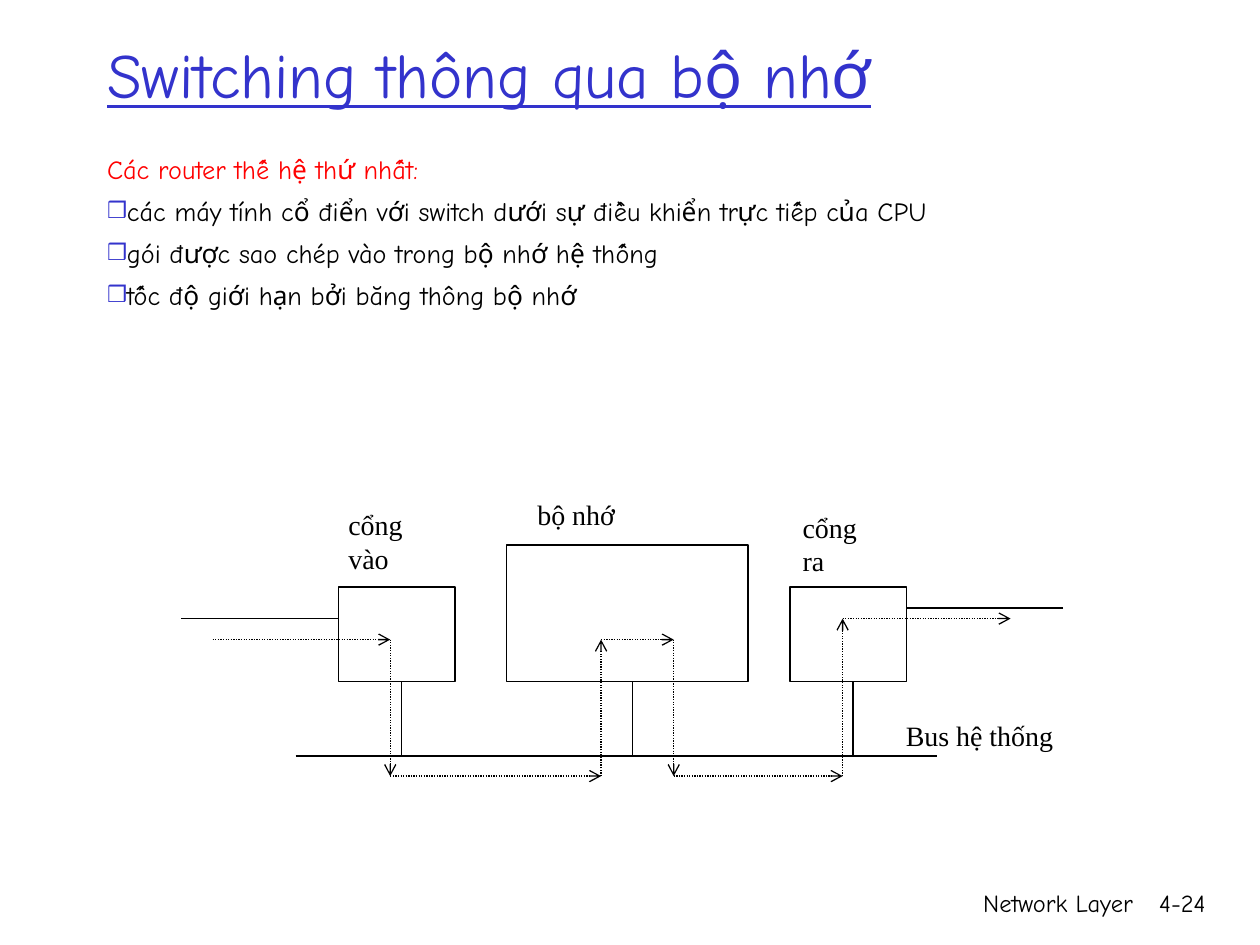
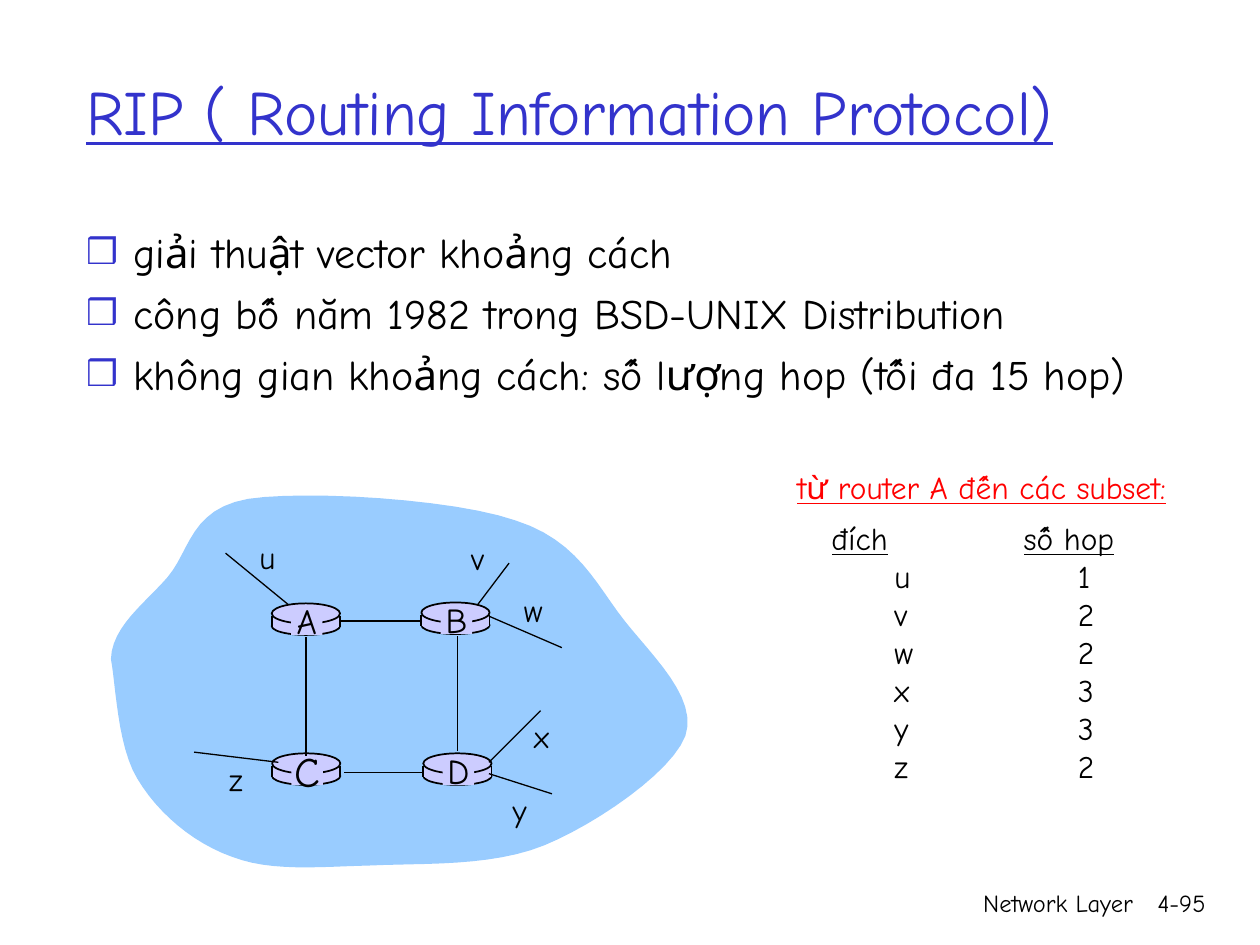
from typing import NamedTuple

from lxml import etree
from pptx import Presentation
from pptx.dml.color import RGBColor
from pptx.enum.dml import MSO_LINE
from pptx.enum.shapes import MSO_CONNECTOR, MSO_SHAPE
from pptx.enum.text import MSO_ANCHOR, MSO_AUTO_SIZE, PP_ALIGN
from pptx.oxml.ns import qn
from pptx.util import Pt

STRAIGHT = MSO_CONNECTOR.STRAIGHT
RECTANGLE, ELLIPSE = MSO_SHAPE.RECTANGLE, MSO_SHAPE.OVAL
DOTTED = MSO_LINE.ROUND_DOT
LEFT, CENTER, RIGHT = PP_ALIGN.LEFT, PP_ALIGN.CENTER, PP_ALIGN.RIGHT
MIDDLE, TOP = MSO_ANCHOR.MIDDLE, MSO_ANCHOR.TOP
FIXED_SIZE = MSO_AUTO_SIZE.NONE

BLACK, BLUE, RED = "000000", "3333CC", "FF0000"
SKY, LILAC = "99CCFF", "CCCCFF"
COMIC, SERIF = "Comic Neue", "Times New Roman"


class Frame(NamedTuple):
    """A rectangle in points."""
    left: float
    top: float
    width: float
    height: float


class Style(NamedTuple):
    """The look of a run of text."""
    size: float
    color: str = BLACK
    font: str = COMIC
    underline: bool = False


class Item(NamedTuple):
    """One paragraph of a body list."""
    text: str
    color: str = BLACK
    bullet: bool = True


class Label(NamedTuple):
    """A short text and its top left corner."""
    text: str
    left: float
    top: float


class Segment(NamedTuple):
    """A straight line between two points."""
    x1: float
    y1: float
    x2: float
    y2: float


class Router(NamedTuple):
    """A named router and the top left corner of its disc."""
    name: str
    left: float
    top: float
    size: float = 20


TITLE = Style(36, BLUE, underline=True)
FOOTER = Style(14)
BUS_LABEL = Style(16, font=SERIF)
NET_LABEL = Style(18)
COLUMN_HEAD = Style(18, underline=True)
CAPTION = Style(18, RED, underline=True)

INPUT_PORT = Frame(193.5, 335.5, 66.5, 54)
OUTPUT_PORT = INPUT_PORT._replace(left=451.5)
MEMORY = Frame(289.5, 311.5, 138, 78)
BUS_Y = 432
BUS_LINES = [
    Segment(169, BUS_Y, 535.5, BUS_Y),
    *[Segment(x, 389.5, x, BUS_Y) for x in (229.5, 361.5, 487.5)],
    Segment(193.5, 353.5, 103.5, 353.5),
    Segment(607.5, 347.5, 517.5, 347.5),
]
PACKET_ROUTE = [
    (121.5, 365.5), (223, 365.5), (223, 443.5), (343.5, 443.5), (343.5, 365.5),
    (385, 365.5), (385, 443.5), (481.5, 443.5), (481.5, 353.5), (577.5, 353.5),
]
BUS_LABELS = [
    Label("cổng\nvào", 192, 286.5), Label("cổng\nra", 451.5, 288),
    Label("bộ nhớ", 300, 281), Label("Bus hệ thống", 510.5, 407),
]

CLOUD_START = (63.4, 376.6)
CLOUD_CURVES = [
    ((64.1, 357.8), (82.8, 344.9), (95.8, 329.8)),
    ((108.7, 314.6), (108.7, 290.9), (141.8, 285.1)),
    ((175, 280.1), (259.2, 285.1), (294.5, 297.4)),
    ((330.5, 308.9), (340.6, 334.1), (357.1, 355)),
    ((373, 375.1), (398.9, 398.9), (391.7, 420.5)),
    ((383.8, 441.4), (340.6, 470.9), (311, 483.1)),
    ((280.8, 495.4), (241.2, 493.2), (211.7, 494.6)),
    ((181.4, 495.4), (154.8, 498.2), (132.5, 489.6)),
    ((110.2, 481.7), (90, 464.4), (78.5, 445)),
    ((67, 426.2), (66.2, 391), CLOUD_START),
]
CURVE_STEPS = 12
ROUTERS = [
    Router("A", 155.3, 344.8), Router("B", 240.8, 344.3),
    Router("C", 155.5, 430.5, 24), Router("D", 241.9, 430.5),
]
ROUTER_LINKS = [
    Segment(261.4, 363.6, 261.4, 429.1), Segment(175, 364.3, 175, 432),
    Segment(242, 441.4, 196.5, 441.4), Segment(241.2, 355, 195.1, 355),
]
SUBNET_LINES = [
    Segment(279.4, 352.1, 321.1, 370.1), Segment(272.9, 345.6, 290.9, 321.8),
    Segment(279.4, 435.6, 308.9, 406.1), Segment(279.4, 442.1, 315.4, 453.6),
    Segment(164.9, 345.6, 128.9, 316.1), Segment(159.1, 435.6, 110.9, 429.8),
]
SUBNET_LABELS = [
    Label("u", 141.1, 303.8), Label("v", 262.1, 304.6), Label("w", 292.3, 334.1),
    Label("x", 298.1, 406.1), Label("y", 285.8, 448.6), Label("z", 123.8, 430.6),
]
HOPS = [("đích", "số hop"), ("u", "1"), ("v", "2"), ("w", "2"),
        ("x", "3"), ("y", "3"), ("z", "2")]
HOP_COLUMNS = (110, 70)
HOP_INDENTS = (36, 31)
HOP_ROW = 21.7


def rgb(color: str) -> RGBColor:
    """Turn a hex string into a colour."""
    return RGBColor.from_string(color)


def place(shape, frame: Frame) -> None:
    """Move and size a shape."""
    shape.left, shape.top, shape.width, shape.height = map(Pt, frame)


def style_para(para, style: Style, align=LEFT) -> None:
    """Align a paragraph and format its runs."""
    para.alignment = align
    for span in para.runs:
        span.font.size = Pt(style.size)
        span.font.name = style.font
        span.font.underline = style.underline
        span.font.color.rgb = rgb(style.color)


def add_text(page, text: str, frame: Frame, style: Style, align=LEFT) -> None:
    """Add a wrapping text box."""
    box = page.shapes.add_textbox(*map(Pt, frame))
    box.text_frame.word_wrap = True
    box.text_frame.text = text
    for para in box.text_frame.paragraphs:
        style_para(para, style, align)


def add_labels(page, labels: list[Label], width: float, style: Style) -> None:
    """Add small labels of one width and style."""
    for label in labels:
        add_text(page, label.text, Frame(label.left, label.top, width, 29), style)


def add_block(page, kind, frame: Frame, fill: str = "", weight: float = 0):
    """Add a preset shape with an optional fill and outline."""
    block = page.shapes.add_shape(kind, *map(Pt, frame))
    block.shadow.inherit = False
    if fill:
        block.fill.solid()
        block.fill.fore_color.rgb = rgb(fill)
    else:
        block.fill.background()
    if weight:
        block.line.color.rgb = rgb(BLACK)
        block.line.width = Pt(weight)
    else:
        block.line.fill.background()
    return block


def add_line(page, segment: Segment, weight: float = 0.75, arrow: bool = False) -> None:
    """Add a plain line, or a dotted line with an arrowhead."""
    line = page.shapes.add_connector(STRAIGHT, *map(Pt, segment))
    line.line.color.rgb = rgb(BLACK)
    line.line.width = Pt(weight)
    if arrow:
        line.line.dash_style = DOTTED
        etree.SubElement(line.get_or_add_ln(), qn("a:tailEnd"), type="arrow")
    etree.SubElement(line._element.spPr, qn("a:effectLst"))


def set_bullet(para, bullet: bool, indent: float) -> None:
    """Give a paragraph a hanging indent and a box bullet, or no bullet."""
    props = para._p.get_or_add_pPr()
    props.set("marL", str(Pt(indent)))
    props.set("indent", str(-Pt(indent)))
    if not bullet:
        etree.SubElement(props, qn("a:buNone"))
        return
    color = etree.SubElement(props, qn("a:buClr"))
    etree.SubElement(color, qn("a:srgbClr"), val=BLUE)
    etree.SubElement(props, qn("a:buSzPct"), val="85000")
    etree.SubElement(props, qn("a:buFont"), typeface="Arial")
    etree.SubElement(props, qn("a:buChar"), char="❒")


def fill_body(body, items: list[Item], frame: Frame, size: float, indent: float) -> None:
    """Fill the body placeholder with a list."""
    place(body, frame)
    text_frame = body.text_frame
    text_frame.auto_size = FIXED_SIZE
    text_frame.vertical_anchor = TOP
    text_frame.text = "\n".join(item.text for item in items)
    for index, (para, item) in enumerate(zip(text_frame.paragraphs, items)):
        set_bullet(para, item.bullet, indent)
        para.space_before = Pt(6 if index else 0)
        style_para(para, Style(size, item.color))


def add_page(deck, title: str, frame: Frame, number: str):
    """Add a slide with its title and footer."""
    page = deck.slides.add_slide(deck.slide_layouts[1])
    heading = page.shapes.title
    place(heading, frame)
    heading.text_frame.auto_size = FIXED_SIZE
    heading.text_frame.vertical_anchor = MIDDLE
    heading.text_frame.text = title
    style_para(heading.text_frame.paragraphs[0], TITLE)
    add_text(page, "Network Layer", Frame(426.5, 504, 228, 36), FOOTER, RIGHT)
    add_text(page, number, Frame(643, 504, 53, 36), FOOTER, RIGHT)
    return page


def add_cloud(page) -> None:
    """Draw the network cloud from its cubic curves."""
    points, start = [], CLOUD_START
    for curve in CLOUD_CURVES:
        for step in range(1, CURVE_STEPS + 1):
            t = step / CURVE_STEPS
            weights = ((1 - t) ** 3, 3 * t * (1 - t) ** 2, 3 * t * t * (1 - t), t ** 3)
            knots = (start, *curve)
            points.append(tuple(Pt(sum(w * knot[axis] for w, knot in zip(weights, knots)))
                                for axis in (0, 1)))
        start = curve[-1]
    builder = page.shapes.build_freeform(*map(Pt, CLOUD_START), scale=1.0)
    builder.add_line_segments(points, close=True)
    cloud = builder.convert_to_shape()
    cloud.shadow.inherit = False
    cloud.fill.solid()
    cloud.fill.fore_color.rgb = rgb(SKY)
    cloud.line.fill.background()


def add_router(page, router: Router) -> None:
    """Draw a router as a flat disc with its letter."""
    left, top, width = router.left, router.top, 39
    add_block(page, ELLIPSE, Frame(left, top + 8, width, 10), LILAC, 1)
    add_block(page, RECTANGLE, Frame(left, top + 7, width, 6.5), LILAC)
    for x in (left, left + width):
        add_line(page, Segment(x, top + 7, x, top + 13.5), 1)
    add_block(page, ELLIPSE, Frame(left, top, width, 11.5), LILAC, 1)
    patch = add_block(page, RECTANGLE, Frame(left + 11, top + 1.5, 18, 16.5), LILAC)
    text_frame = patch.text_frame
    text_frame.margin_left = text_frame.margin_right = 0
    text_frame.margin_top = text_frame.margin_bottom = 0
    text_frame.word_wrap = False
    text_frame.vertical_anchor = MIDDLE
    text_frame.text = router.name
    style_para(text_frame.paragraphs[0], Style(router.size), CENTER)


def add_hop_table(page) -> None:
    """Add the table of hop counts."""
    frame = Frame(475, 298.5, sum(HOP_COLUMNS), HOP_ROW * len(HOPS))
    table = page.shapes.add_table(len(HOPS), len(HOP_COLUMNS), *map(Pt, frame)).table
    table.first_row = table.horz_banding = False
    for column, width in zip(table.columns, HOP_COLUMNS):
        column.width = Pt(width)
    for row, values in enumerate(HOPS):
        for column, value in enumerate(values):
            cell = table.cell(row, column)
            cell.fill.background()
            cell.margin_left = Pt(HOP_INDENTS[column] if row else 0)
            cell.margin_right = cell.margin_top = cell.margin_bottom = 0
            cell.text_frame.text = value
            style_para(cell.text_frame.paragraphs[0], NET_LABEL if row else COLUMN_HEAD)


def build_memory_page(deck) -> None:
    """Build the slide on switching through memory."""
    page = add_page(deck, "Switching thông qua bộ nhớ", Frame(54, 18, 612, 48), "4-24")
    fill_body(page.placeholders[1], [
        Item("Các router thế hệ thứ nhất:", RED, False),
        Item("các máy tính cổ điển với switch dưới sự điều khiển trực tiếp của CPU"),
        Item("gói được sao chép vào trong bộ nhớ hệ thống"),
        Item("tốc độ giới hạn bởi băng thông bộ nhớ"),
    ], Frame(54, 84, 618, 98), 15, 9.5)
    for frame in (INPUT_PORT, OUTPUT_PORT, MEMORY):
        add_block(page, RECTANGLE, frame, weight=0.75)
    for segment in BUS_LINES:
        add_line(page, segment)
    for start, end in zip(PACKET_ROUTE, PACKET_ROUTE[1:]):
        add_line(page, Segment(*start, *end), arrow=True)
    add_labels(page, BUS_LABELS, 110, BUS_LABEL)


def build_rip_page(deck) -> None:
    """Build the slide on RIP."""
    page = add_page(deck, "RIP ( Routing Information Protocol)",
                    Frame(42, 18, 644, 90), "4-95")
    fill_body(page.placeholders[1], [
        Item("giải thuật vector khoảng cách"),
        Item("công bố năm 1982 trong BSD-UNIX Distribution"),
        Item("không gian khoảng cách: số lượng hop (tối đa 15 hop)"),
    ], Frame(42, 126, 648, 133), 24, 27)
    add_cloud(page)
    for router in ROUTERS:
        add_router(page, router)
    for segment in ROUTER_LINKS:
        add_line(page, segment, 1)
    for segment in SUBNET_LINES:
        add_line(page, segment)
    add_labels(page, SUBNET_LABELS, 32, NET_LABEL)
    add_hop_table(page)
    add_text(page, "từ router A đến các subset:", Frame(448.5, 264, 240, 29), CAPTION)


def main() -> None:
    """Build and save the deck."""
    deck = Presentation()
    deck.slide_width, deck.slide_height = Pt(720), Pt(540)
    build_memory_page(deck)
    build_rip_page(deck)
    deck.save("out.pptx")


if __name__ == "__main__":
    main()
